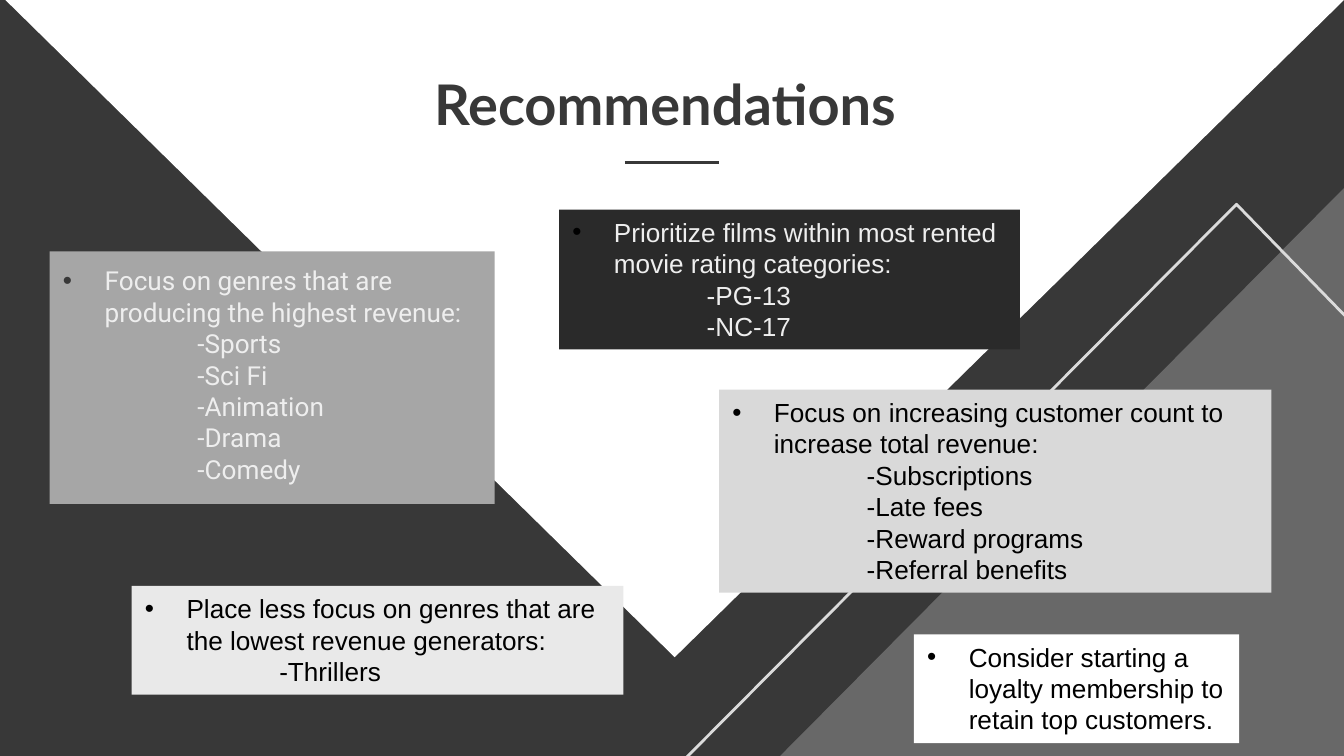
from lxml import etree
from pptx import Presentation
from pptx.dml.color import RGBColor
from pptx.enum.shapes import MSO_CONNECTOR, MSO_SHAPE
from pptx.enum.text import MSO_ANCHOR, PP_ALIGN
from pptx.oxml.ns import qn
from pptx.util import Inches, Pt

LINE = MSO_CONNECTOR.STRAIGHT
RECT = MSO_SHAPE.RECTANGLE
PEAK = MSO_SHAPE.ISOSCELES_TRIANGLE
WEDGE = MSO_SHAPE.RIGHT_TRIANGLE
LEFT, CENTER = PP_ALIGN.LEFT, PP_ALIGN.CENTER
TOP, MIDDLE = MSO_ANCHOR.TOP, MSO_ANCHOR.MIDDLE

# Content
DARK = "383838"
TITLE = "Recommendations "
CARDS = [
    dict(at=(0.37, 1.87, 3.31, 1.88), fill="A6A6A6", font="Roboto",
         ink="EEEEEE", dot=DARK, pad=0.1,
         head="Focus on genres that are producing the highest revenue:",
         items=["Sports", "Sci Fi", "Animation", "Drama", "Comedy"]),
    dict(at=(0.98, 4.36, 3.66, 0.81), fill="E9E9E9",
         head="Place less focus on genres that are the lowest revenue generators:",
         items=["Thrillers"]),
    dict(at=(4.16, 1.56, 3.43, 1.04), fill="2A2A2A", ink="EEEEEE",
         head="Prioritize films within most rented movie rating categories:",
         items=["PG-13", "NC-17"]),
    dict(at=(5.35, 2.9, 4.11, 1.51), fill="D9D9D9",
         head="Focus on increasing customer count to increase total revenue:",
         items=["Subscriptions", "Late fees", "Reward programs",
                "Referral benefits"]),
    dict(at=(6.8, 4.72, 2.42, 0.81), fill="FFFFFF",
         head="Consider starting a loyalty membership to retain top customers.",
         items=[]),
]
HANG, STEP, PITCH = 0.31, 1.0, 16.8


def color(code):
    return RGBColor.from_string(code)


def add_form(kind, at, fill=None, edge=None, turn=0):
    form = slide.shapes.add_shape(kind, *map(Inches, at))
    form.shadow.inherit = False
    form.rotation = turn
    if fill:
        form.fill.solid()
        form.fill.fore_color.rgb = color(fill)
    else:
        form.fill.background()
    if edge:
        form.line.color.rgb = color(edge)
        form.line.width = Pt(1.5)
    else:
        form.line.fill.background()
    return form


def set_frame(frame, pad, anchor):
    frame.word_wrap = True
    frame.vertical_anchor = anchor
    frame.margin_left = frame.margin_right = Inches(0.1)
    frame.margin_top = frame.margin_bottom = Inches(pad)


def set_font(para, name, size, ink, bold=False):
    font = para.runs[0].font
    font.name, font.size, font.bold = name, Pt(size), bold
    font.color.rgb = color(ink)


def indent(para, left, first=0, dot=None):
    props = para._p.get_or_add_pPr()
    props.set("marL", str(Inches(left)))
    props.set("indent", str(Inches(first)))
    if dot:
        tint = etree.SubElement(props, qn("a:buClr"))
        etree.SubElement(tint, qn("a:srgbClr"), val=dot)
        etree.SubElement(props, qn("a:buFont"), typeface="Arial")
        etree.SubElement(props, qn("a:buChar"), char="•")
    else:
        etree.SubElement(props, qn("a:buNone"))


def add_card(at, fill, head, items, font="Arial", ink="000000",
             dot="000000", pad=0.05):
    frame = add_form(RECT, at, fill).text_frame
    set_frame(frame, pad, TOP)
    frame.text = "\n".join([head] + ["-" + item for item in items])
    for row, para in enumerate(frame.paragraphs):
        para.alignment = LEFT
        para.line_spacing = Pt(PITCH)
        set_font(para, font, 14, ink)
        if row:
            indent(para, STEP)
        else:
            indent(para, HANG, -HANG, dot)


# Widescreen page, 16 by 9
deck = Presentation()
deck.slide_width = Inches(10)
deck.slide_height = deck.slide_width * 9 // 16
slide = deck.slides.add_slide(deck.slide_layouts[6])

# Backdrop
slide.background.fill.solid()
slide.background.fill.fore_color.rgb = color(DARK)
add_form(WEDGE, (5.73, 1.41, 4.29, 4.26), "686868", turn=270)
add_form(PEAK, (0.04, 0, 9.96, 4.89), "FFFFFF", turn=180)
ridge = add_form(PEAK, (3.92, 1.52, 10.45, 5.31), edge="DBDBDB")
ridge.adjustments[0] = 5.28 / 10.45  # apex offset over width

# Title and rule
box = slide.shapes.add_textbox(*map(Inches, (1.85, 0.45, 6.3, 0.64)))
set_frame(box.text_frame, 0.1, MIDDLE)
box.text_frame.text = TITLE
title = box.text_frame.paragraphs[0]
title.alignment = CENTER
set_font(title, "Lato", 30, DARK, True)

rule = slide.shapes.add_connector(LINE, *map(Inches, (4.65, 1.21, 5.35, 1.21)))
rule.line.color.rgb = color(DARK)
rule.line.width = Pt(1.5)
etree.SubElement(rule._element.spPr, qn("a:effectLst"))

# Cards
for card in CARDS:
    add_card(**card)

deck.save("out.pptx")
